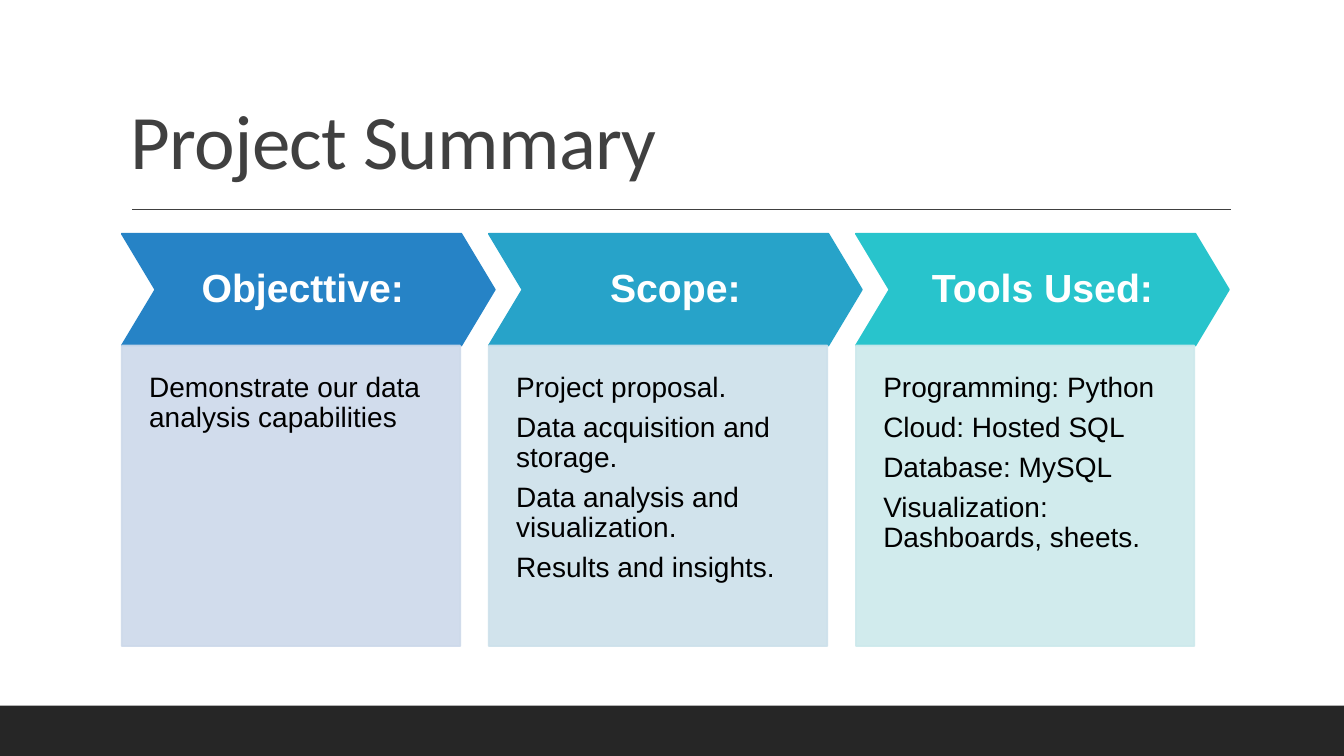
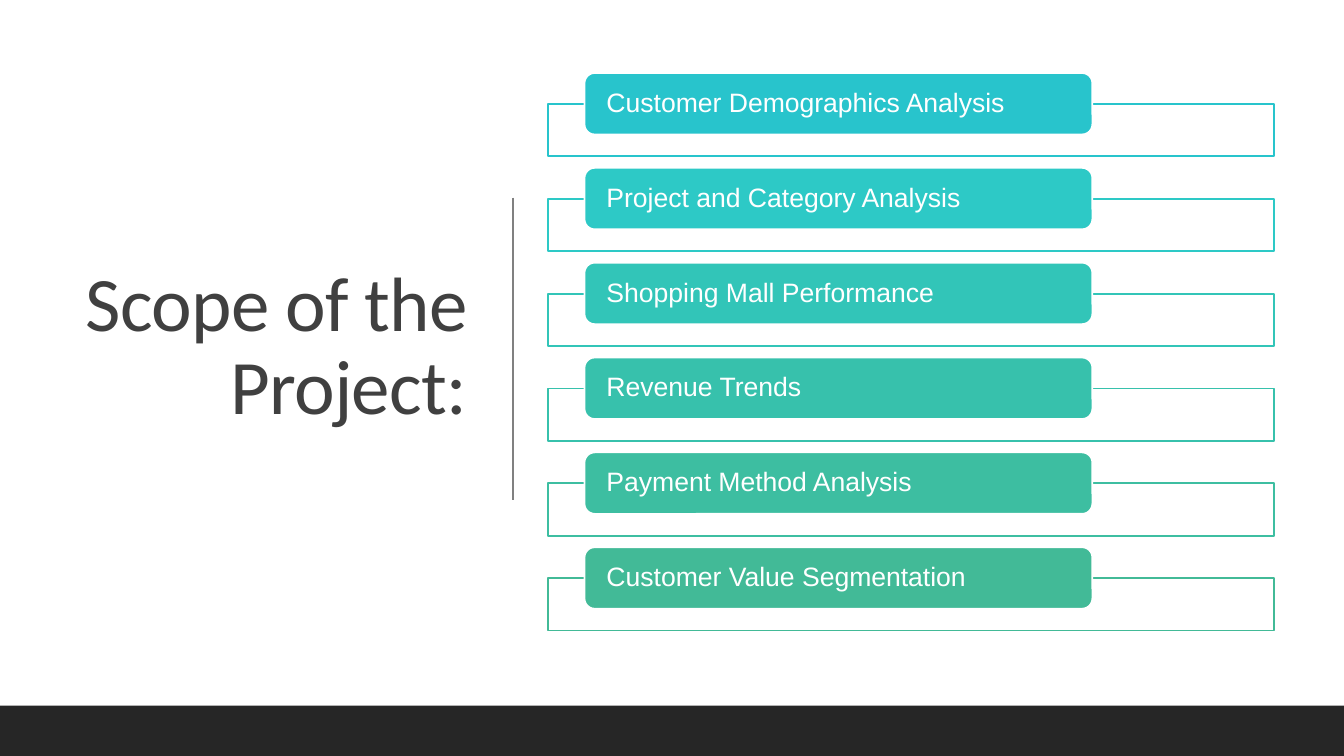
"""Build the project summary slide and the project scope slide."""
from lxml import etree
from pptx import Presentation
from pptx import util as u
from pptx.dml.color import RGBColor
from pptx.enum import shapes, text
from pptx.oxml.ns import qn

COLORS = {
    "white": "FFFFFF", "black": "000000", "title": "404040",
    "divider": "808080", "band": "262626",
    "objective": "2683C6", "objective_panel": "CDD9EA",
    "scope": "27A3C9", "scope_panel": "CDE1EB",
    "tools": "28C4CC", "tools_panel": "CDE9EC",
    "demographics": "28C4CC", "category": "2DC9C6", "mall": "32C5B8",
    "revenue": "37C1AC", "payment": "3DBEA1", "segmentation": "42BA97",
}
SLIDE_W, SLIDE_H = 33.87, 19.05
BAND_H = 1.27
BORDER_PT = 1.25

SUMMARY = [
    ("objective", "Objecttive: ", ["Demonstrate our data analysis capabilities"]),
    ("scope", "Scope:", ["Project proposal.", "Data acquisition and storage.",
                         "Data analysis and visualization.",
                         "Results and insights."]),
    ("tools", "Tools Used:", ["Programming: Python", "Cloud: Hosted SQL",
                              "Database: MySQL",
                              "Visualization: Dashboards, sheets."]),
]
SCOPE = [
    ("demographics", "Customer Demographics Analysis"),
    ("category", "Project and Category Analysis"),
    ("mall", "Shopping Mall Performance"),
    ("revenue", "Revenue Trends"),
    ("payment", "Payment Method Analysis"),
    ("segmentation", "Customer Value Segmentation"),
]


def rgb(name):
    """Return the named colour."""
    return RGBColor.from_string(COLORS[name])


def write(shape, *paragraphs, size, color="white", font="Arial", bold=False,
          align="LEFT", anchor="MIDDLE", insets=(0.25, 0.13, 0.25, 0.13),
          gap=0, tracking=None):
    """Fill a shape with formatted paragraphs."""
    frame = shape.text_frame
    frame.word_wrap = True
    frame.vertical_anchor = text.MSO_ANCHOR[anchor]
    (frame.margin_left, frame.margin_top,
     frame.margin_right, frame.margin_bottom) = map(u.Cm, insets)
    for index, words in enumerate(paragraphs):
        paragraph = frame.add_paragraph() if index else frame.paragraphs[0]
        paragraph.alignment = text.PP_ALIGN[align]
        paragraph.line_spacing = 0.9
        paragraph.space_after = u.Pt(gap)
        run = paragraph.add_run()
        run.text = words
        run.font.name, run.font.size, run.font.bold = font, u.Pt(size), bold
        run.font.color.rgb = rgb(color)
        if tracking is not None:
            run._r.get_or_add_rPr().set("spc", str(round(tracking * 100)))


def add_block(slide, preset, box, fill, border=None, opacity=None):
    """Add a filled preset shape."""
    block = slide.shapes.add_shape(shapes.MSO_SHAPE[preset], *map(u.Cm, box))
    block.shadow.inherit = False
    block.fill.solid()
    block.fill.fore_color.rgb = rgb(fill)
    if border:
        block.line.color.rgb = rgb(border)
        block.line.width = u.Pt(BORDER_PT)
    else:
        block.line.fill.background()
    if opacity is not None:
        for color in block._element.spPr.iter(qn("a:srgbClr")):
            etree.SubElement(color, qn("a:alpha"), val=str(opacity * 1000))
    return block


def add_rule(slide, start, end, color):
    """Add a thin straight line."""
    rule = slide.shapes.add_connector(
        shapes.MSO_CONNECTOR.STRAIGHT, *map(u.Cm, start + end))
    rule.line.color.rgb = rgb(color)
    rule.line.width = u.Pt(1)
    etree.SubElement(rule._element.spPr, qn("a:effectLst"))


def add_slide(deck, title, title_box, **title_format):
    """Add a blank slide with the shared band and title style."""
    slide = deck.slides.add_slide(deck.slide_layouts[6])
    add_block(slide, "RECTANGLE",
              (0, SLIDE_H - BAND_H, SLIDE_W, BAND_H), "band")
    heading = slide.shapes.add_textbox(*map(u.Cm, title_box))
    write(heading, title, size=55, color="title", font="Calibri",
          tracking=-0.5, **title_format)
    return slide


def add_stage(slide, left, key, heading, details):
    """Add a chevron heading above its panel of details."""
    top, chevron_h = 5.89, 2.82
    chevron = add_block(slide, "CHEVRON", (left, top, 9.4, chevron_h), key, key)
    chevron.adjustments[0] = 0.3
    write(chevron, heading, size=28, bold=True, align="CENTER",
          insets=(0.36,) * 4)
    panel_color = f"{key}_panel"
    panel = add_block(slide, "RECTANGLE", (left, top + chevron_h, 8.53, 7.57),
                      panel_color, panel_color, opacity=90)
    write(panel, *details, size=20, color="black", anchor="TOP",
          insets=(0.69, 0.69, 0.69, 1.35), gap=7)


def add_topic(slide, top, key, label):
    """Add a rounded label over an outlined bar."""
    add_block(slide, "RECTANGLE", (13.82, top + 0.78, 18.29, 1.32), "white", key)
    pill = add_block(slide, "ROUNDED_RECTANGLE", (14.73, top, 12.8, 1.55),
                     key, "white")
    write(pill, label, size=19, insets=(0.48, 0, 0.48, 0))


def build_summary(deck):
    """Build the slide with the three project stages."""
    slide = add_slide(deck, "Project Summary", (3.05, 0.79, 27.94, 4.04),
                      anchor="BOTTOM")
    add_rule(slide, (3.33, 5.28), (31.01, 5.28), "title")
    for index, stage in enumerate(SUMMARY):
        add_stage(slide, 3.07 + index * 9.25, *stage)


def build_scope(deck):
    """Build the slide with the list of analysis topics."""
    slide = add_slide(deck, "Scope of the Project:", (1.78, 1.75, 10.24, 14.05),
                      align="RIGHT")
    add_rule(slide, (12.93, 4.98), (12.93, 12.6), "divider")
    for index, topic in enumerate(SCOPE):
        add_topic(slide, 1.84 + index * 2.39, *topic)


def main():
    """Build and save the deck."""
    deck = Presentation()
    deck.slide_width, deck.slide_height = u.Cm(SLIDE_W), u.Cm(SLIDE_H)
    build_summary(deck)
    build_scope(deck)
    deck.save("out.pptx")


if __name__ == "__main__":
    main()
